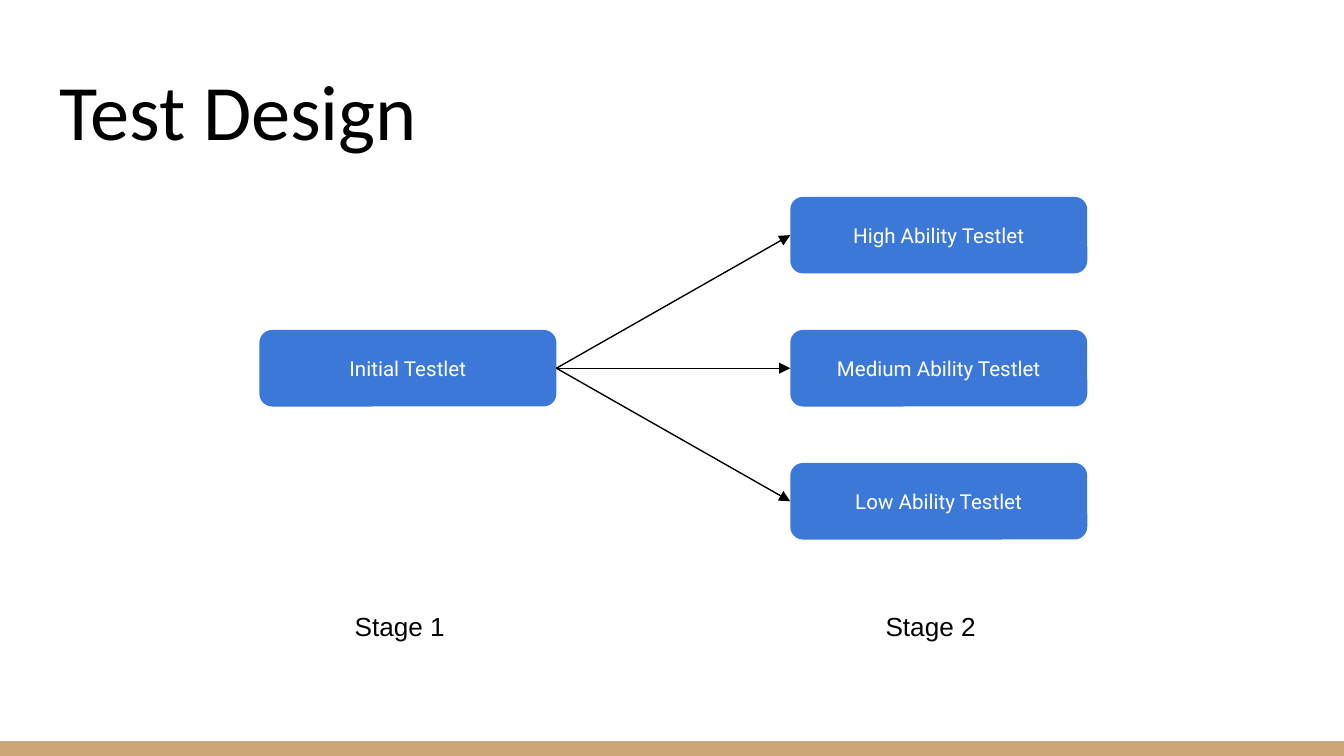
from lxml.etree import SubElement
from pptx import Presentation
from pptx.dml.color import RGBColor
from pptx.enum.shapes import MSO_CONNECTOR as Link, MSO_SHAPE as Shape
from pptx.enum.text import MSO_ANCHOR as Anchor, MSO_AUTO_SIZE as Fit, PP_ALIGN as Align
from pptx.oxml.ns import qn
from pptx.util import Inches, Pt

# Content: each box is (text, column, row)
TITLE = "Test Design"
START = ("Initial Testlet", 0, 1)
PATHS = [
    ("High Ability Testlet", 1, 0),
    ("Medium Ability Testlet", 1, 1),
    ("Low Ability Testlet", 1, 2),
]
STAGES = ["Stage 1", "Stage 2"]

# Look
COLORS = {"bar": "CCA677", "box": "3C78D8", "ink": "000000", "light": "FFFFFF"}
FONTS = {
    "title": {"name": "Calibri", "size": Pt(42), "color": "ink"},
    "box": {"name": "Roboto", "size": Pt(11), "color": "light"},
    "stage": {"name": "Arial", "size": Pt(14), "color": "ink"},
}

# Grid in inches, on a 16:9 slide
WIDE = 10
HIGH = WIDE * 9 / 16
LEFT, COL = 1.93, 3.95
MID, ROW = 2.74, 0.99
BOX_W, BOX_H = 2.21, 0.57
STAGE_W, STAGE_H, STAGE_TOP = 2.33, 0.44, 4.44
BAR_H = 0.11
PAD = Inches(0.1)


def area(*sizes):
    return [Inches(size) for size in sizes]


def color(key):
    return RGBColor.from_string(COLORS[key])


def write(shape, text, style, align, anchor, fit=Fit.NONE):
    frame = shape.text_frame
    form = {
        "margin_left": PAD, "margin_right": PAD,
        "margin_top": PAD, "margin_bottom": PAD,
        "word_wrap": True, "auto_size": fit, "vertical_anchor": anchor,
    }
    for key, value in form.items():
        setattr(frame, key, value)
    line = frame.paragraphs[0]
    line.alignment = align
    run = line.add_run()
    run.text = text
    for key, value in FONTS[style].items():
        if key == "color":
            run.font.color.rgb = color(value)
        else:
            setattr(run.font, key, value)


def add_block(shapes, kind, place, fill):
    block = shapes.add_shape(kind, *area(*place))
    block.shadow.inherit = False
    block.fill.solid()
    block.fill.fore_color.rgb = color(fill)
    block.line.fill.background()
    return block


def add_box(shapes, text, col, row):
    # Rows are centred on the middle one
    top = MID + (row - 1) * ROW - BOX_H / 2
    place = (LEFT + col * COL, top, BOX_W, BOX_H)
    box = add_block(shapes, Shape.ROUNDED_RECTANGLE, place, "box")
    write(box, text, "box", Align.CENTER, Anchor.MIDDLE)
    return box


def add_arrow(shapes, source, target):
    arrow = shapes.add_connector(Link.STRAIGHT, 0, 0, 0, 0)
    arrow.begin_connect(source, 3)
    arrow.end_connect(target, 1)
    arrow.line.color.rgb = color("ink")
    arrow.line.width = Pt(0.75)
    props = arrow._element.spPr
    SubElement(props.find(qn("a:ln")), qn("a:tailEnd"), type="triangle")
    SubElement(props, qn("a:effectLst"))


def main():
    deck = Presentation()
    deck.slide_width, deck.slide_height = area(WIDE, HIGH)
    slide = deck.slides.add_slide(deck.slide_layouts[5])
    shapes = slide.shapes

    # Bottom bar and title
    add_block(shapes, Shape.RECTANGLE, (0, HIGH - BAR_H, WIDE, BAR_H), "bar")
    title = shapes.title
    title.left, title.top, title.width, title.height = area(0.34, 0.35, 9.32, 0.91)
    write(title, TITLE, "title", Align.LEFT, Anchor.BOTTOM)

    # Testlets and the arrows between them
    start = add_box(shapes, *START)
    ends = [add_box(shapes, *path) for path in PATHS]
    for end in ends:
        add_arrow(shapes, start, end)

    # Stage labels, flush with the right side of their column
    for col, text in enumerate(STAGES):
        left = LEFT + col * COL + BOX_W - STAGE_W
        label = shapes.add_textbox(*area(left, STAGE_TOP, STAGE_W, STAGE_H))
        write(label, text, "stage", Align.CENTER, Anchor.TOP, Fit.SHAPE_TO_FIT_TEXT)

    deck.save("out.pptx")


if __name__ == "__main__":
    main()
